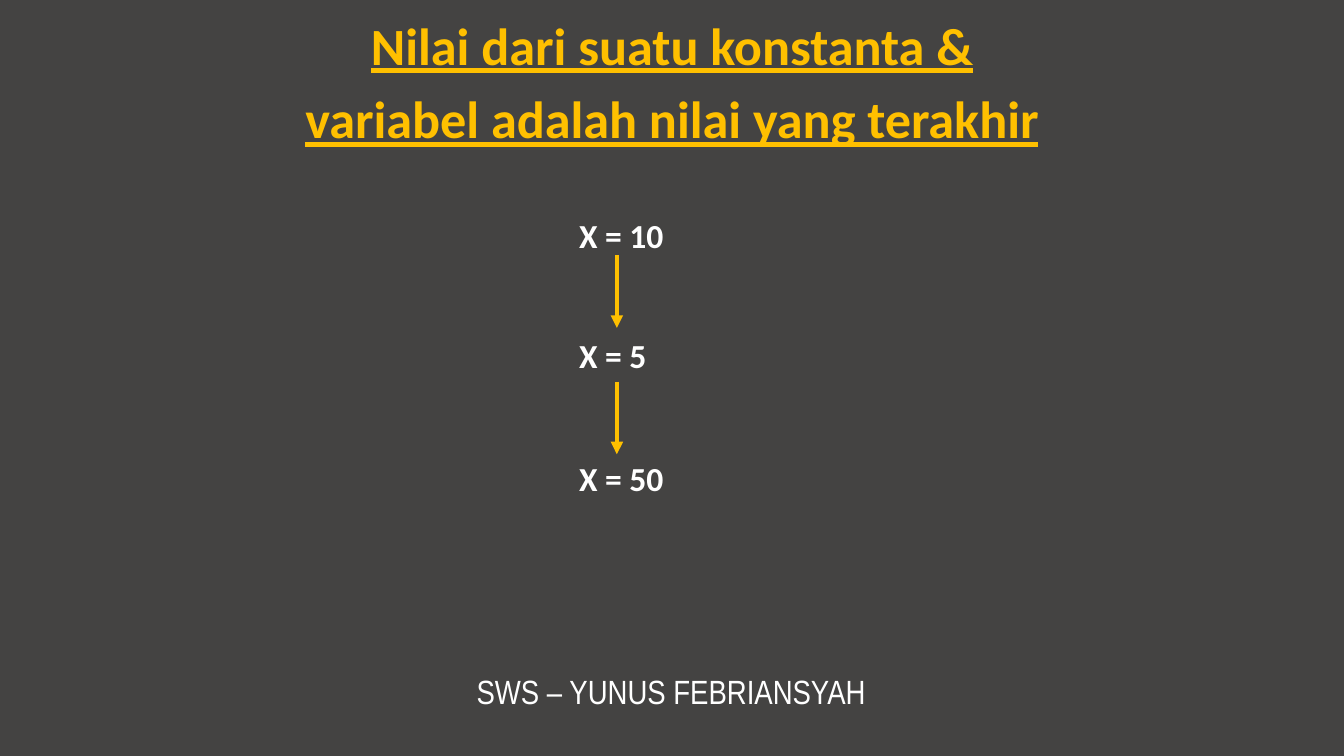
from lxml.etree import SubElement
from pptx import Presentation
from pptx.dml.color import RGBColor
from pptx.enum.shapes import MSO_CONNECTOR as Connector
from pptx.enum.text import MSO_ANCHOR as Anchor, MSO_AUTO_SIZE as AutoSize, PP_ALIGN as Align
from pptx.oxml.ns import qn
from pptx.util import Inches, Pt

COLORS = {"background": "444342", "accent": "FFC000", "text": "FFFFFF"}


def write_text(frame, text, font="Calibri", size=18, color="text", bold=False,
               underline=False, align=Align.LEFT, space_before=0):
    """Write one paragraph per line, with space only between paragraphs."""
    for index, line in enumerate(text.split("\n")):
        paragraph = frame.add_paragraph() if index else frame.paragraphs[0]
        paragraph.alignment = align
        paragraph.space_before = Pt(space_before if index else 0)
        run = paragraph.add_run()
        run.text = line
        run.font.name = font
        run.font.size = Pt(size)
        run.font.bold = bold
        run.font.underline = underline
        run.font.color.rgb = RGBColor.from_string(COLORS[color])


class SlideBuilder:
    def __init__(self, presentation):
        title_only = presentation.slide_layouts[5]
        self.slide = presentation.slides.add_slide(title_only)
        fill = self.slide.background.fill
        fill.solid()
        fill.fore_color.rgb = RGBColor.from_string(COLORS["background"])

    def title(self, text, left, top, width, height):
        shape = self.slide.shapes.title
        shape.left, shape.top = Inches(left), Inches(top)
        shape.width, shape.height = Inches(width), Inches(height)
        frame = shape.text_frame
        frame.word_wrap = True
        frame.auto_size = AutoSize.NONE
        frame.vertical_anchor = Anchor.MIDDLE
        write_text(frame, text, size=28, color="accent", bold=True,
                   underline=True, align=Align.CENTER, space_before=5.6)

    def text(self, text, left, top, width, height=0.4, wrap=False, **style):
        shape = self.slide.shapes.add_textbox(
            Inches(left), Inches(top), Inches(width), Inches(height))
        shape.text_frame.word_wrap = wrap
        shape.text_frame.auto_size = AutoSize.SHAPE_TO_FIT_TEXT
        write_text(shape.text_frame, text, **style)

    def down_arrow(self, x, top, length):
        connector = self.slide.shapes.add_connector(
            Connector.STRAIGHT, Inches(x), Inches(top), Inches(x), Inches(top + length))
        connector.line.width = Pt(2.25)
        connector.line.color.rgb = RGBColor.from_string(COLORS["accent"])
        properties = connector.line._get_or_add_ln()
        SubElement(properties, qn("a:tailEnd"), type="triangle")
        SubElement(connector._element.spPr, qn("a:effectLst"))


def main():
    presentation = Presentation()
    presentation.slide_width = Inches(10)
    presentation.slide_height = Inches(10) * 9 // 16

    builder = SlideBuilder(presentation)
    builder.title("Nilai dari suatu konstanta &\nvariabel adalah nilai yang terakhir",
                  0, 0.29, 10, 0.63)
    for value, top, width in ((10, 1.55, 0.89), (5, 2.44, 0.75), (50, 3.36, 0.89)):
        builder.text(f"X = {value}", 4.21, top, width, bold=True)
    for top in (1.9, 2.84):
        builder.down_arrow(4.59, top, 0.54)
    builder.text("SWS – YUNUS FEBRIANSYAH", 2.87, 4.94, 4.25, wrap=True,
                 font="Arial Narrow", align=Align.CENTER)

    presentation.save("out.pptx")


if __name__ == "__main__":
    main()
